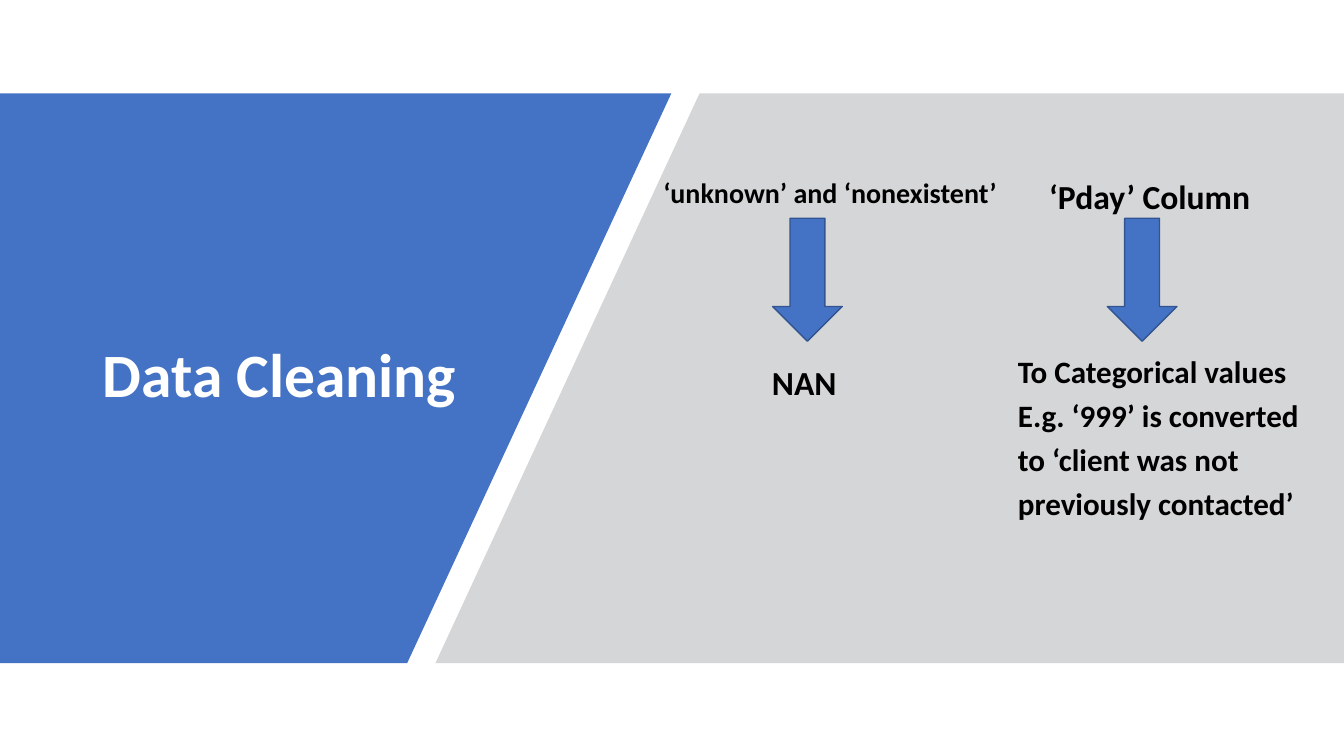
from dataclasses import dataclass

from lxml import etree
from pptx import Presentation
from pptx.dml.color import RGBColor
from pptx.enum.shapes import MSO_SHAPE
from pptx.enum.text import MSO_ANCHOR, MSO_AUTO_SIZE, PP_ALIGN
from pptx.oxml.ns import qn
from pptx.util import Inches, Pt

DOWN_ARROW = MSO_SHAPE.DOWN_ARROW
MIDDLE, BOTTOM = MSO_ANCHOR.MIDDLE, MSO_ANCHOR.BOTTOM
LEFT = PP_ALIGN.LEFT
NO_AUTOFIT = MSO_AUTO_SIZE.NONE

BLUE = RGBColor(0x44, 0x72, 0xC4)
DARK_BLUE = RGBColor(0x32, 0x54, 0x91)
GRAY = RGBColor(0xD5, 0xD6, 0xD7)
BLACK = RGBColor(0x00, 0x00, 0x00)
WHITE = RGBColor(0xFF, 0xFF, 0xFF)

FONT = "Calibri"
SLIDE_WIDTH, SLIDE_HEIGHT = Inches(13.33), Inches(7.5)
BAND_TOP, BAND_BOTTOM = 12.37, 87.73
ARROW_TOP, ARROW_WIDTH, ARROW_HEIGHT = 28.87, 5.18, 16.27


@dataclass(frozen=True)
class Box:
    """A rectangle in percent of the slide's width and height."""
    left: float
    top: float
    width: float
    height: float


@dataclass(frozen=True)
class Label:
    box: Box
    lines: tuple[str, ...]
    size: float
    line_spacing: float = 0.9


@dataclass(frozen=True)
class Panel:
    """A full-height side of the band, given by its edges at top and bottom."""
    top_left: float
    top_right: float
    bottom_right: float
    bottom_left: float
    color: RGBColor


PANELS = (
    Panel(0, 49.95, 30.3, 0, BLUE),
    Panel(52.05, 100, 100, 32.4, GRAY),
)
TITLE_BOX = Box(6.9, 26.8, 27.98, 46.27)
UNKNOWN_LABEL = Label(Box(48.6, 19.67, 27, 12), ("‘unknown’ and ‘nonexistent’",), 20)
LABELS = (
    Label(Box(77.33, 17.33, 22.5, 12), ("‘Pday’ Column",), 24),
    Label(Box(75, 45.6, 25, 24),
          ("To Categorical values", "E.g. ‘999’ is converted",
           "to ‘client was not", "previously contacted’"), 22.2, 0.8),
    Label(Box(56.7, 41.87, 18, 12), ("NAN",), 24),
)
ARROW_LEFTS = (57.49, 82.39)


def across(percent: float) -> int:
    return round(SLIDE_WIDTH * percent / 100)


def down(percent: float) -> int:
    return round(SLIDE_HEIGHT * percent / 100)


def place(box: Box) -> tuple[int, int, int, int]:
    return across(box.left), down(box.top), across(box.width), down(box.height)


def move(shape, box: Box) -> None:
    shape.left, shape.top, shape.width, shape.height = place(box)


def write_text(shape, lines: tuple[str, ...], *, size: float, color: RGBColor = BLACK,
               anchor=BOTTOM, line_spacing: float = 0.9, space_before: float = 10) -> None:
    frame = shape.text_frame
    frame.word_wrap = True
    frame.auto_size = NO_AUTOFIT
    frame.vertical_anchor = anchor
    for index, line in enumerate(lines):
        paragraph = frame.add_paragraph() if index else frame.paragraphs[0]
        paragraph.alignment = LEFT
        paragraph.line_spacing = line_spacing
        paragraph.space_before = Pt(space_before)
        run = paragraph.add_run()
        run.text = line
        run.font.name = FONT
        run.font.size = Pt(size)
        run.font.bold = True
        run.font.color.rgb = color


def remove_bullets(shape) -> None:
    for paragraph in shape.text_frame.paragraphs:
        properties = paragraph._p.get_or_add_pPr()
        properties.set("marL", "0")
        properties.set("indent", "0")
        etree.SubElement(properties, qn("a:buNone"))


def add_panel(slide, panel: Panel) -> None:
    """Draw a panel behind the title and body."""
    top, bottom = down(BAND_TOP), down(BAND_BOTTOM)
    builder = slide.shapes.build_freeform(across(panel.top_left), top)
    builder.add_line_segments((
        (across(panel.top_right), top),
        (across(panel.bottom_right), bottom),
        (across(panel.bottom_left), bottom),
    ), close=True)
    shape = builder.convert_to_shape()
    shape.shadow.inherit = False
    shape.fill.solid()
    shape.fill.fore_color.rgb = panel.color
    shape.line.fill.background()
    slide.shapes.title.element.addprevious(shape.element)


def add_arrow(slide, left: float) -> None:
    box = Box(left, ARROW_TOP, ARROW_WIDTH, ARROW_HEIGHT)
    shape = slide.shapes.add_shape(DOWN_ARROW, *place(box))
    shape.shadow.inherit = False
    shape.fill.solid()
    shape.fill.fore_color.rgb = BLUE
    shape.line.color.rgb = DARK_BLUE
    shape.line.width = Pt(1)


def add_label(slide, label: Label) -> None:
    shape = slide.shapes.add_textbox(*place(label.box))
    write_text(shape, label.lines, size=label.size, line_spacing=label.line_spacing)


def main() -> None:
    presentation = Presentation()
    presentation.slide_width, presentation.slide_height = SLIDE_WIDTH, SLIDE_HEIGHT
    slide = presentation.slides.add_slide(presentation.slide_layouts[1])

    for panel in PANELS:
        add_panel(slide, panel)

    title, body = slide.shapes.title, slide.placeholders[1]
    move(title, TITLE_BOX)
    write_text(title, ("Data Cleaning",), size=44, color=WHITE, anchor=MIDDLE, space_before=0)
    move(body, UNKNOWN_LABEL.box)
    write_text(body, UNKNOWN_LABEL.lines, size=UNKNOWN_LABEL.size, anchor=MIDDLE)
    remove_bullets(body)

    for label in LABELS:
        add_label(slide, label)
    for left in ARROW_LEFTS:
        add_arrow(slide, left)

    presentation.save("out.pptx")


if __name__ == "__main__":
    main()
